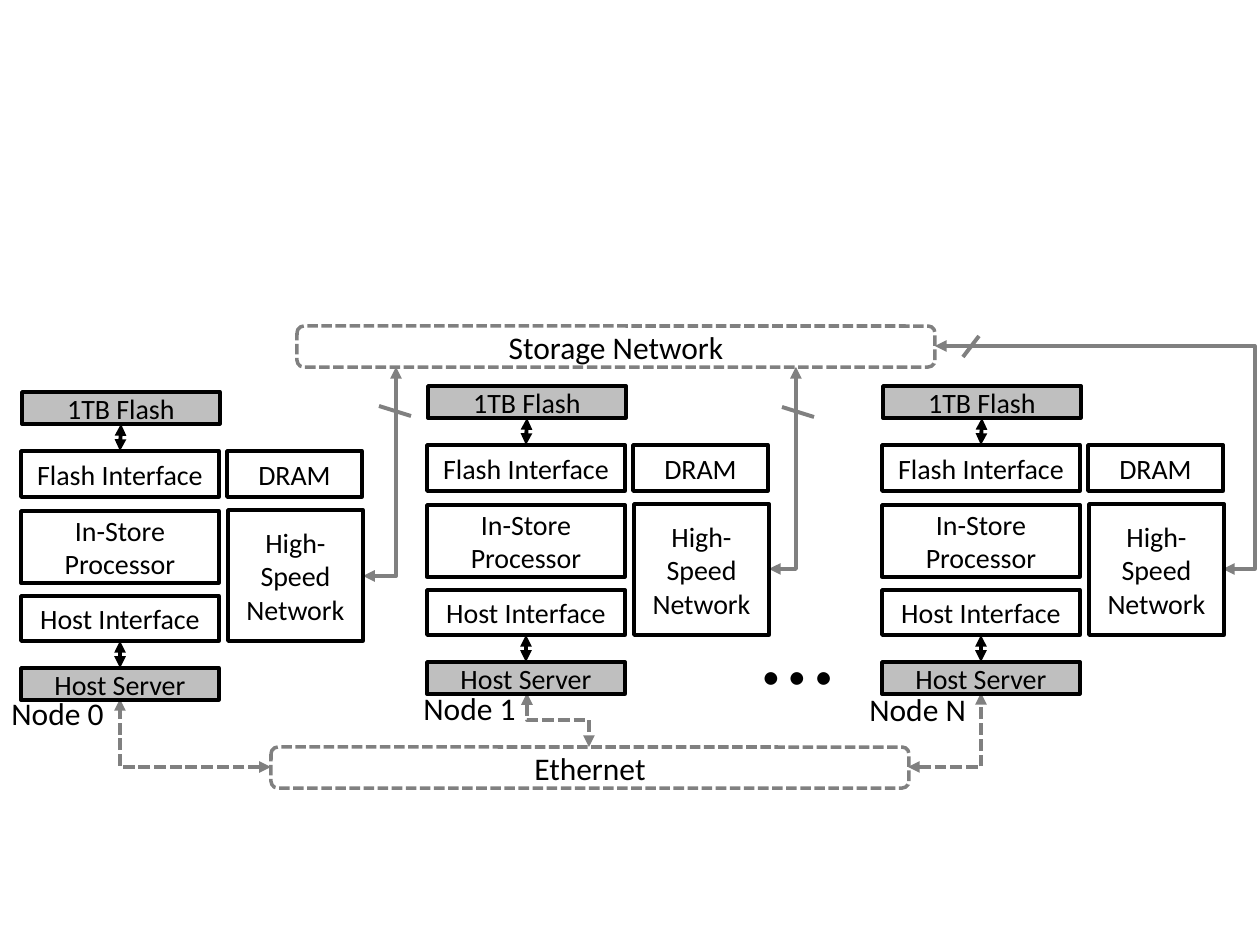
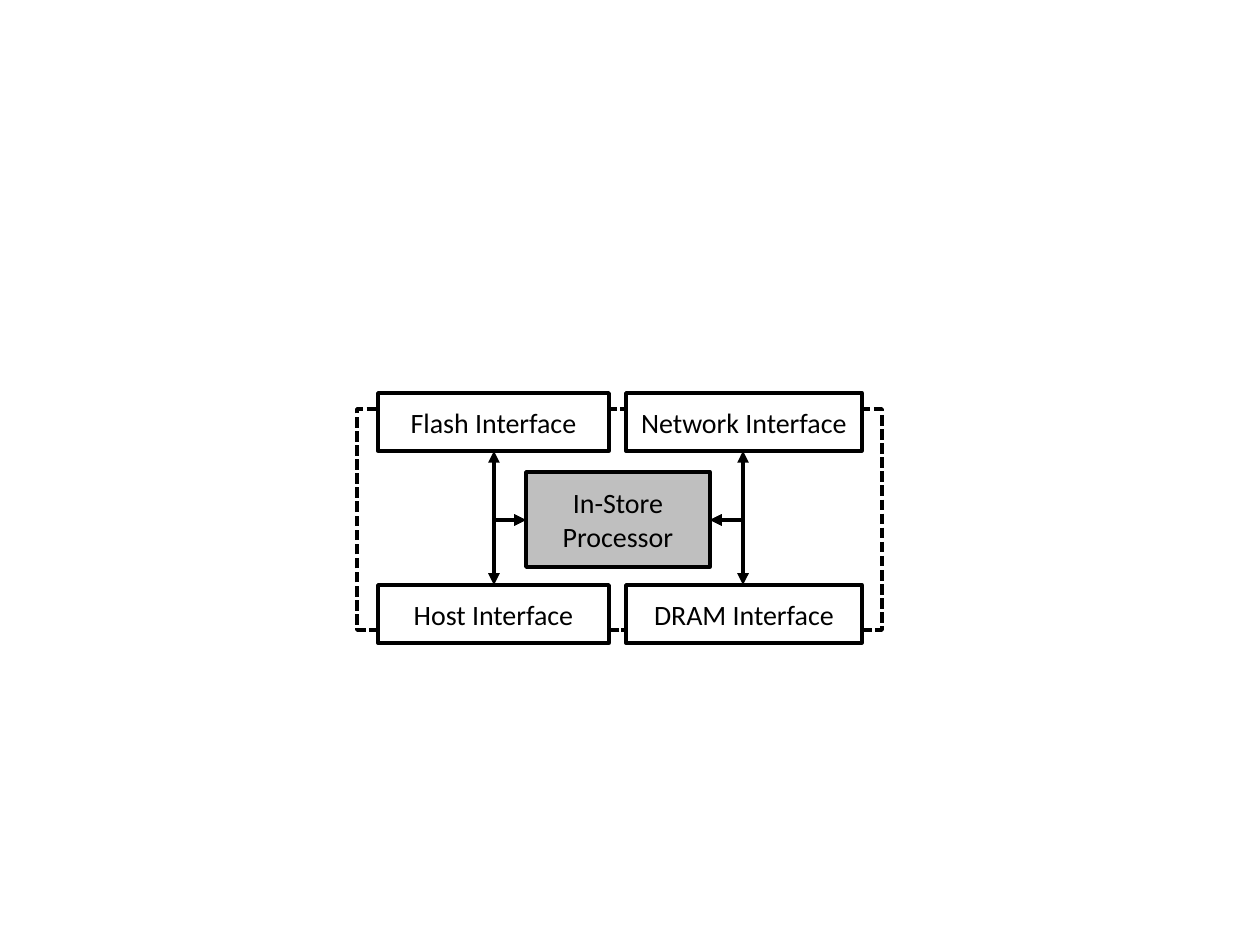
"""Draws a flash storage cluster and the inside of one of its nodes."""
from dataclasses import dataclass
from typing import Optional

from lxml.etree import SubElement
from pptx import Presentation
from pptx.dml.color import RGBColor
from pptx.enum.dml import MSO_LINE
from pptx.enum.shapes import MSO_CONNECTOR as Route, MSO_SHAPE as Preset
from pptx.enum.text import MSO_ANCHOR as Anchor, PP_ALIGN as Align
from pptx.oxml.ns import qn
from pptx.shapes.connector import Connector
from pptx.slide import Slide
from pptx.util import Emu, Inches, Pt

COLORS = {"ink": "000000", "paper": "FFFFFF", "wire": "808080", "shade": "BFBFBF"}
FONT = "Calibri"
PIXELS_PER_INCH = 126
BLANK_LAYOUT = 6


@dataclass(frozen=True)
class Box:
    left: int
    top: int
    width: int
    height: int
    text: str = ""
    fill: Optional[str] = "paper"
    line: str = "ink"
    size: int = 16
    dashed: bool = False
    preset: Preset = Preset.RECTANGLE


@dataclass(frozen=True)
class Wire:
    x1: int
    y1: int
    x2: int
    y2: int
    color: str = "wire"
    dashed: bool = False
    arrows: bool = True


@dataclass(frozen=True)
class Label:
    left: int
    top: int
    width: int
    height: int
    text: str
    size: int = 18
    align: Align = Align.LEFT


@dataclass(frozen=True)
class Node:
    left: int
    top: int


NODES = (Node(21, 451), Node(427, 445), Node(882, 445))
NODE_BOXES = (
    Box(0, 60, 198, 72, "In-Store Processor"),
    Box(207, 59, 135, 131, "High-\nSpeed Network"),
    Box(0, 217, 198, 32, "Host Server", "shade"),
    Box(1, -59, 198, 32, "1TB Flash", "shade"),
    Box(0, 145, 198, 45, "Host Interface"),
    Box(0, 0, 198, 46, "Flash Interface"),
    Box(206, 0, 135, 46, "DRAM"),
)
NODE_WIRES = (Wire(99, 190, 99, 217, "ink"), Wire(100, -27, 99, 0, "ink"))
NETWORKS = tuple(
    Box(left, top, 638, 41, text, line="wire", size=18, dashed=True, preset=Preset.ROUNDED_RECTANGLE)
    for left, top, text in ((297, 326, "Storage Network"), (271, 747, "Ethernet"))
)
CORNER_WIRES = (
    Wire(271, 767, 120, 699, dashed=True),
    Wire(908, 767, 981, 693, dashed=True),
    Wire(363, 576, 396, 367),
    Wire(769, 569, 796, 367),
)
BUS_MARKS = (
    Wire(379, 406, 411, 416, arrows=False),
    Wire(782, 407, 814, 417, arrows=False),
    Wire(963, 357, 979, 336, arrows=False),
)
LABELS = (
    Label(748, 573, 98, 140, "…", 60, Align.RIGHT),
    Label(-1, 688, 118, 50, "Node 0"),
    Label(411, 683, 118, 50, "Node 1"),
    Label(857, 684, 123, 50, "Node N"),
)
INTERFACE_COLUMNS = (
    (378, 231, ("Flash Interface", "Host Interface")),
    (626, 236, ("Network Interface", "DRAM Interface")),
)
INTERFACE_ROWS = (393, 585)
INTERFACE_HEIGHT = 58


def px(pixels: float) -> Emu:
    return Emu(round(pixels * Inches(1) / PIXELS_PER_INCH))


def rgb(name: str) -> RGBColor:
    return RGBColor.from_string(COLORS[name])


def write_text(text_frame, text: str, size: int, align: Align) -> None:
    text_frame.text = text
    for paragraph in text_frame.paragraphs:
        paragraph.alignment = align
        for run in paragraph.runs:
            run.font.name = FONT
            run.font.size = Pt(size)
            run.font.color.rgb = rgb("ink")


def draw_box(slide: Slide, box: Box, dx: int = 0, dy: int = 0) -> None:
    shape = slide.shapes.add_shape(
        box.preset, px(box.left + dx), px(box.top + dy), px(box.width), px(box.height)
    )
    shape.shadow.inherit = False
    if box.fill:
        shape.fill.solid()
        shape.fill.fore_color.rgb = rgb(box.fill)
    else:
        shape.fill.background()
    shape.line.color.rgb = rgb(box.line)
    shape.line.width = Pt(2)
    if box.dashed:
        shape.line.dash_style = MSO_LINE.SQUARE_DOT
    if box.text:
        shape.text_frame.vertical_anchor = Anchor.MIDDLE
        write_text(shape.text_frame, box.text, box.size, Align.CENTER)


def draw_label(slide: Slide, label: Label) -> None:
    shape = slide.shapes.add_textbox(
        px(label.left), px(label.top), px(label.width), px(label.height)
    )
    shape.text_frame.word_wrap = False
    write_text(shape.text_frame, label.text, label.size, label.align)


def draw_wire(slide: Slide, wire: Wire, route: Route = Route.STRAIGHT) -> Connector:
    connector = slide.shapes.add_connector(
        route, px(wire.x1), px(wire.y1), px(wire.x2), px(wire.y2)
    )
    connector.line.color.rgb = rgb(wire.color)
    connector.line.width = Pt(2.25)
    if wire.dashed:
        connector.line.dash_style = MSO_LINE.SQUARE_DOT
    properties = connector.element.spPr
    if wire.arrows:
        outline = properties.find(qn("a:ln"))
        for end in ("a:headEnd", "a:tailEnd"):
            SubElement(outline, qn(end)).set("type", "triangle")
    SubElement(properties, qn("a:effectLst"))
    return connector


def draw_corner(slide: Slide, wire: Wire) -> None:
    """Runs level from the first point, then upright to the second."""
    connector = draw_wire(slide, wire, Route.ELBOW)
    connector.element.spPr.find(qn("a:prstGeom")).set("prst", "bentConnector2")


def draw_detour(slide: Slide, wire: Wire, bend: float) -> None:
    """Runs level to a bend given as a share of the width, then comes back."""
    connector = draw_wire(slide, wire, Route.ELBOW)
    adjustments = connector.element.spPr.find(qn("a:prstGeom")).find(qn("a:avLst"))
    guide = SubElement(adjustments, qn("a:gd"))
    guide.set("name", "adj1")
    guide.set("fmla", f"val {round(bend * 100000)}")


def draw_step(slide: Slide, wire: Wire) -> None:
    """Runs down, level and down again, as an elbow turned by 270 degrees."""
    center_x, center_y = (wire.x1 + wire.x2) // 2, (wire.y1 + wire.y2) // 2
    half_x, half_y = (wire.x2 - wire.x1) // 2, (wire.y2 - wire.y1) // 2
    turned = Wire(
        center_x + half_y, center_y - half_x, center_x - half_y, center_y + half_x,
        wire.color, wire.dashed,
    )
    draw_wire(slide, turned, Route.ELBOW).rotation = 270


def draw_node(slide: Slide, node: Node) -> None:
    for box in NODE_BOXES:
        draw_box(slide, box, node.left, node.top)
    for wire in NODE_WIRES:
        draw_wire(slide, Wire(
            wire.x1 + node.left, wire.y1 + node.top,
            wire.x2 + node.left, wire.y2 + node.top, wire.color,
        ))


def draw_cluster(slide: Slide) -> None:
    for network in NETWORKS:
        draw_box(slide, network)
    for wire in CORNER_WIRES:
        draw_corner(slide, wire)
    draw_step(slide, Wire(527, 693, 589, 747, dashed=True))
    draw_detour(slide, Wire(935, 346, 1223, 569), 1.11)
    for label in LABELS:
        draw_label(slide, label)
    for mark in BUS_MARKS:
        draw_wire(slide, mark)
    for node in NODES:
        draw_node(slide, node)


def draw_processor(slide: Slide) -> None:
    draw_box(slide, Box(357, 409, 525, 221, fill=None, dashed=True))
    draw_box(slide, Box(526, 472, 184, 95, "In-Store Processor", "shade"))
    for left, width, names in INTERFACE_COLUMNS:
        for top, name in zip(INTERFACE_ROWS, names):
            draw_box(slide, Box(left, top, width, INTERFACE_HEIGHT, name))
    for processor_edge, column_center in ((710, 743), (526, 494)):
        for interface_edge in (INTERFACE_ROWS[0] + INTERFACE_HEIGHT, INTERFACE_ROWS[1]):
            draw_corner(slide, Wire(processor_edge, 520, column_center, interface_edge, "ink"))


def main() -> None:
    presentation = Presentation()
    presentation.slide_width = Inches(10)
    presentation.slide_height = Inches(7.5)
    for draw in (draw_cluster, draw_processor):
        draw(presentation.slides.add_slide(presentation.slide_layouts[BLANK_LAYOUT]))
    presentation.save("out.pptx")


main()
